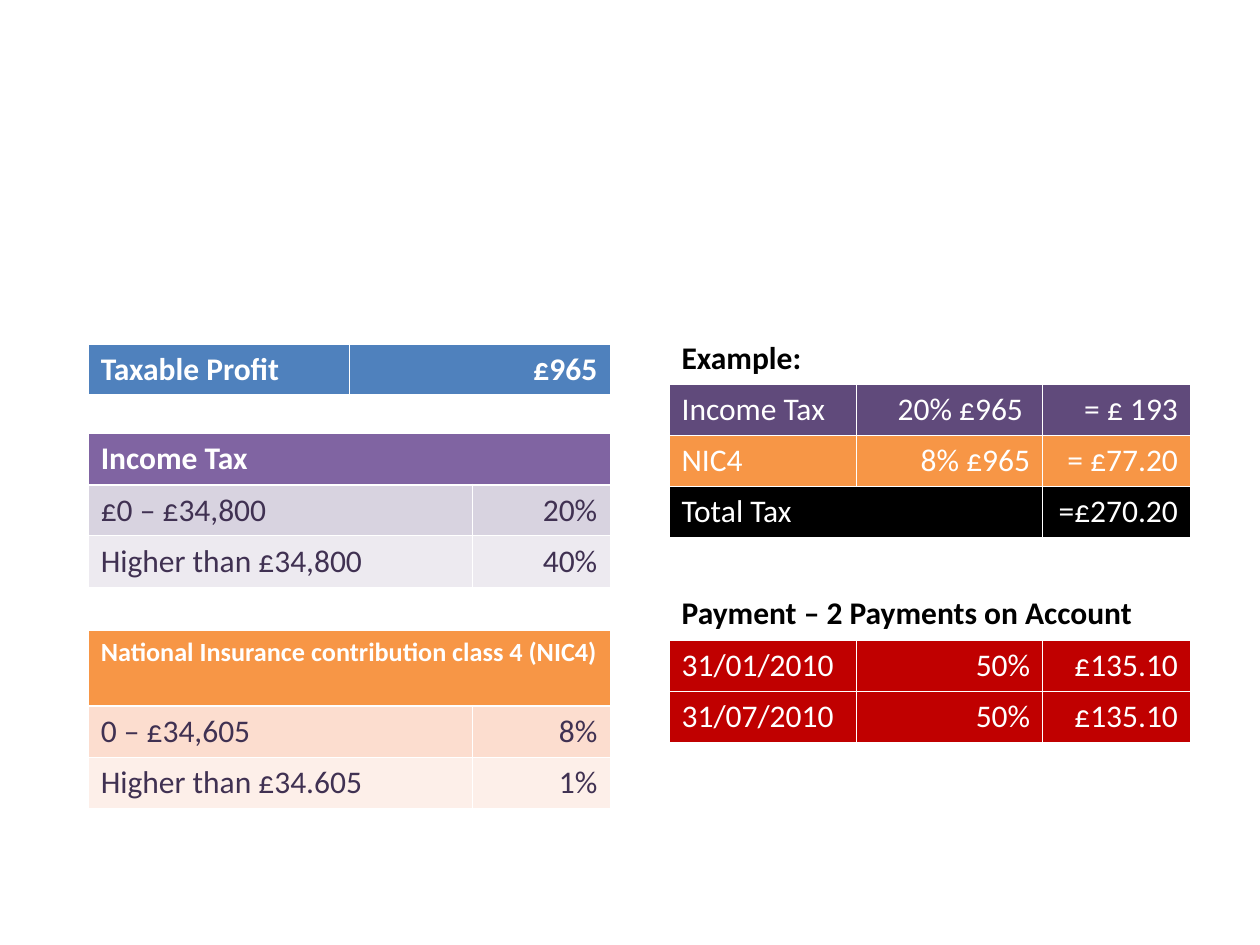
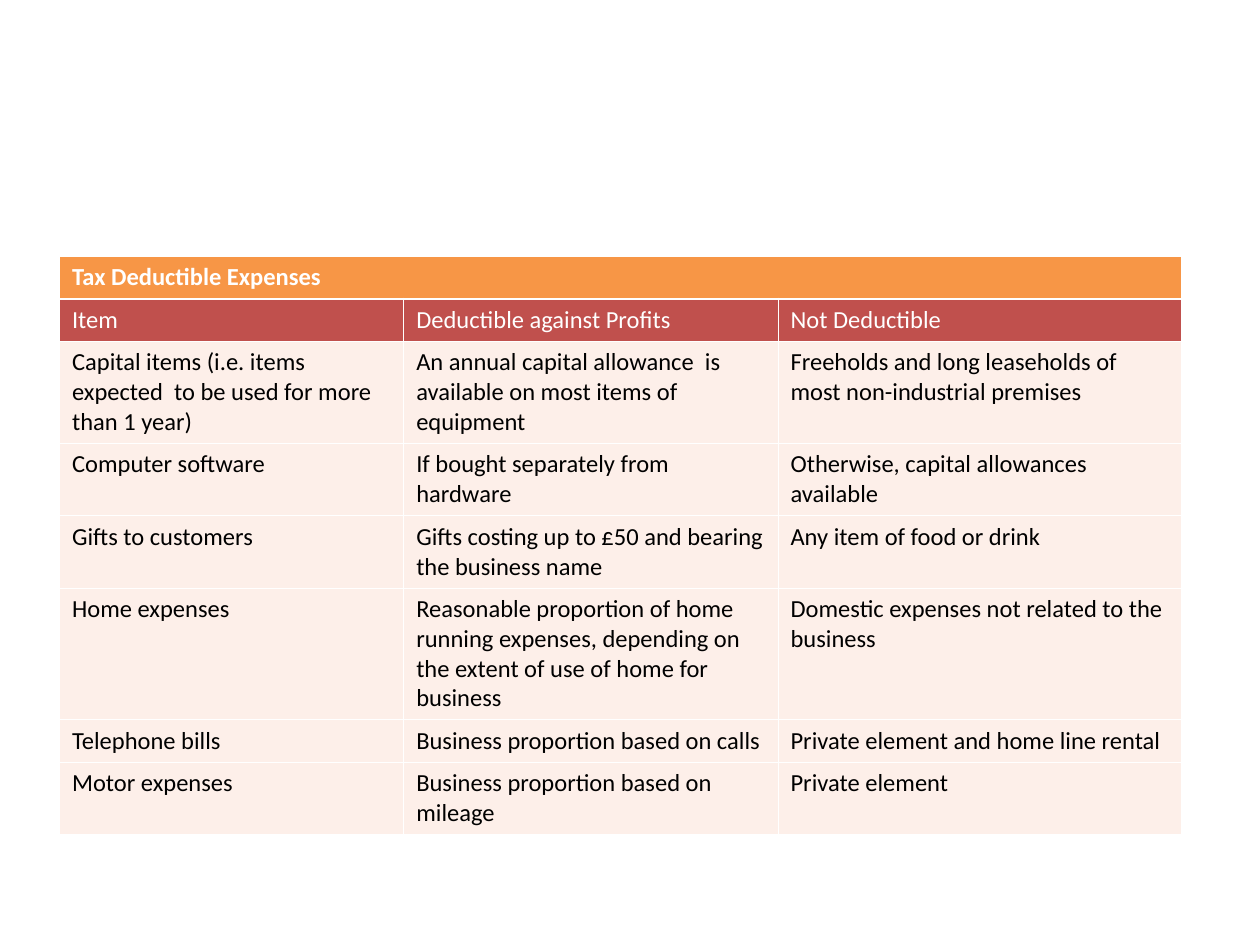
"""Build two slides of tax tables."""
from dataclasses import dataclass

from lxml import etree
from pptx import Presentation
from pptx import util as u
from pptx.dml import color
from pptx.enum import text
from pptx.oxml import ns


@dataclass(frozen=True)
class Theme:
    font: str = "Calibri"
    white: str = "FFFFFF"
    black: str = "000000"
    ink: str = "403152"
    blue: str = "4F81BD"
    violet: str = "8064A2"
    plum: str = "604A7B"
    lilac: str = "D8D3E0"
    mist: str = "EDEAF0"
    orange: str = "F79646"
    peach: str = "FCDDCF"
    cream: str = "FDEFE9"
    red: str = "C00000"
    brick: str = "C0504D"
    large: int = 18
    mid: int = 15
    small: int = 14
    thin: float = 0.45
    thick: float = 1.47


T = Theme()
LEFT, RIGHT = 50.4, 382.3
ROW = 29.16
RATES = (219.6, 78.5)
SUMS = (106.8, 106.8, 84.5)

TABLES = [
    dict(at=(LEFT, 196.8), cols=(149.05, 149.05), rows=[
        (("Taxable Profit ", "£965"), T.blue, T.white)]),
    dict(at=(LEFT, 247.8), cols=RATES, rows=[
        (("Income Tax", None), T.violet, T.white),
        (("£0 – £34,800", "20%"), T.lilac, T.ink),
        (("Higher than £34,800", "40%"), T.mist, T.ink)]),
    dict(at=(LEFT, 360.2), cols=RATES, head=T.mid, tall=43.2, rows=[
        (("National Insurance contribution class 4 (NIC4)", None), T.orange, T.white),
        (("0 – £34,605", "8%"), T.peach, T.ink),
        (("Higher than £34.605", "1%"), T.cream, T.ink)]),
    dict(at=(RIGHT, 190.4), cols=SUMS, rows=[
        (("Example:", None, None), T.white, T.black),
        (("Income Tax", "20% £965 ", "= £ 193"), T.plum, T.white),
        (("NIC4", "8% £965", "= £77.20"), T.orange, T.white),
        (("Total Tax", None, "=£270.20"), T.black, T.white)]),
    dict(at=(RIGHT, 336.4), cols=SUMS, rows=[
        (("Payment – 2 Payments on Account", None, None), T.white, T.black),
        (("31/01/2010", "50%", "£135.10"), T.red, T.white),
        (("31/07/2010", "50%", "£135.10"), T.red, T.white)]),
]

COSTS = [
    (3, "Capital items (i.e. items expected  to be used for more than 1 year)",
     "An annual capital allowance  is available on most items of equipment",
     "Freeholds and long leaseholds of most non-industrial premises"),
    (2, "Computer software", "If bought separately from hardware",
     "Otherwise, capital allowances available"),
    (2, "Gifts to customers",
     "Gifts costing up to £50 and bearing the business name",
     "Any item of food or drink"),
    (4, "Home expenses",
     "Reasonable proportion of home running expenses, depending on the extent "
     "of use of home for business",
     "Domestic expenses not related to the business"),
    (1, "Telephone bills", "Business proportion based on calls",
     "Private element and home line rental"),
    (2, "Motor expenses", "Business proportion based on mileage",
     "Private element"),
]


def edge(cell, row):
    """Draw white cell borders, heavier under the first row."""
    props = cell._tc.get_or_add_tcPr()
    heavy = {0: "B", 1: "T"}.get(row)
    for side in "LRTB":
        wide = T.thick if side == heavy else T.thin
        line = etree.SubElement(props, ns.qn("a:ln" + side), w=str(u.Pt(wide)))
        fill = etree.SubElement(line, ns.qn("a:solidFill"))
        etree.SubElement(fill, ns.qn("a:srgbClr"), val=T.white)


def style(cell, words, fill, ink, size, bold, right):
    """Fill one cell and set its text."""
    cell.fill.solid()
    cell.fill.fore_color.rgb = color.RGBColor.from_string(fill)
    if words is None:
        return
    cell.text_frame.text = words
    para = cell.text_frame.paragraphs[0]
    para.alignment = text.PP_ALIGN.RIGHT if right else text.PP_ALIGN.LEFT
    font = para.runs[0].font
    font.name, font.size, font.bold = T.font, u.Pt(size), bold
    font.color.rgb = color.RGBColor.from_string(ink)


def draw(slide, at, cols, rows, tall, size, head, right):
    """Add a table whose None cells merge with the cell to their left."""
    frame = slide.shapes.add_table(
        len(rows), len(cols), *map(u.Pt, (*at, sum(cols), sum(tall))))
    grid = frame.table
    grid.first_row = grid.horz_banding = False
    for col, wide in zip(grid.columns, cols):
        col.width = u.Pt(wide)
    for r, (words, fill, ink) in enumerate(rows):
        grid.rows[r].height = u.Pt(tall[r])
        for c, word in enumerate(words):
            cell = grid.cell(r, c)
            edge(cell, r)
            style(cell, word, fill, ink, size if r else head, r == 0, right and c > 0)
        gaps = words.count(None)
        if gaps:
            grid.cell(r, 0).merge(grid.cell(r, gaps))


deck = Presentation()
deck.slide_width, deck.slide_height = u.Pt(720), u.Pt(540)
blank = deck.slide_layouts[6]

page = deck.slides.add_slide(blank)
for item in TABLES:
    tall = [item.get("tall", ROW)] + [ROW] * (len(item["rows"]) - 1)
    draw(page, item["at"], item["cols"], item["rows"], tall,
         T.large, item.get("head", T.large), True)

rows = [(("Tax Deductible Expenses", None, None), T.orange, T.white),
        (("Item", "Deductible against Profits ", "Not Deductible "), T.brick, T.white)]
rows += [(words, T.cream, T.black) for _, *words in COSTS]
tall = [7.3 + 17 * n for n in [1, 1] + [cost[0] for cost in COSTS]]
page = deck.slides.add_slide(blank)
draw(page, (34, 146.4), (196.7, 213.9, 230.6), rows, tall, T.small, T.small, False)

deck.save("out.pptx")
